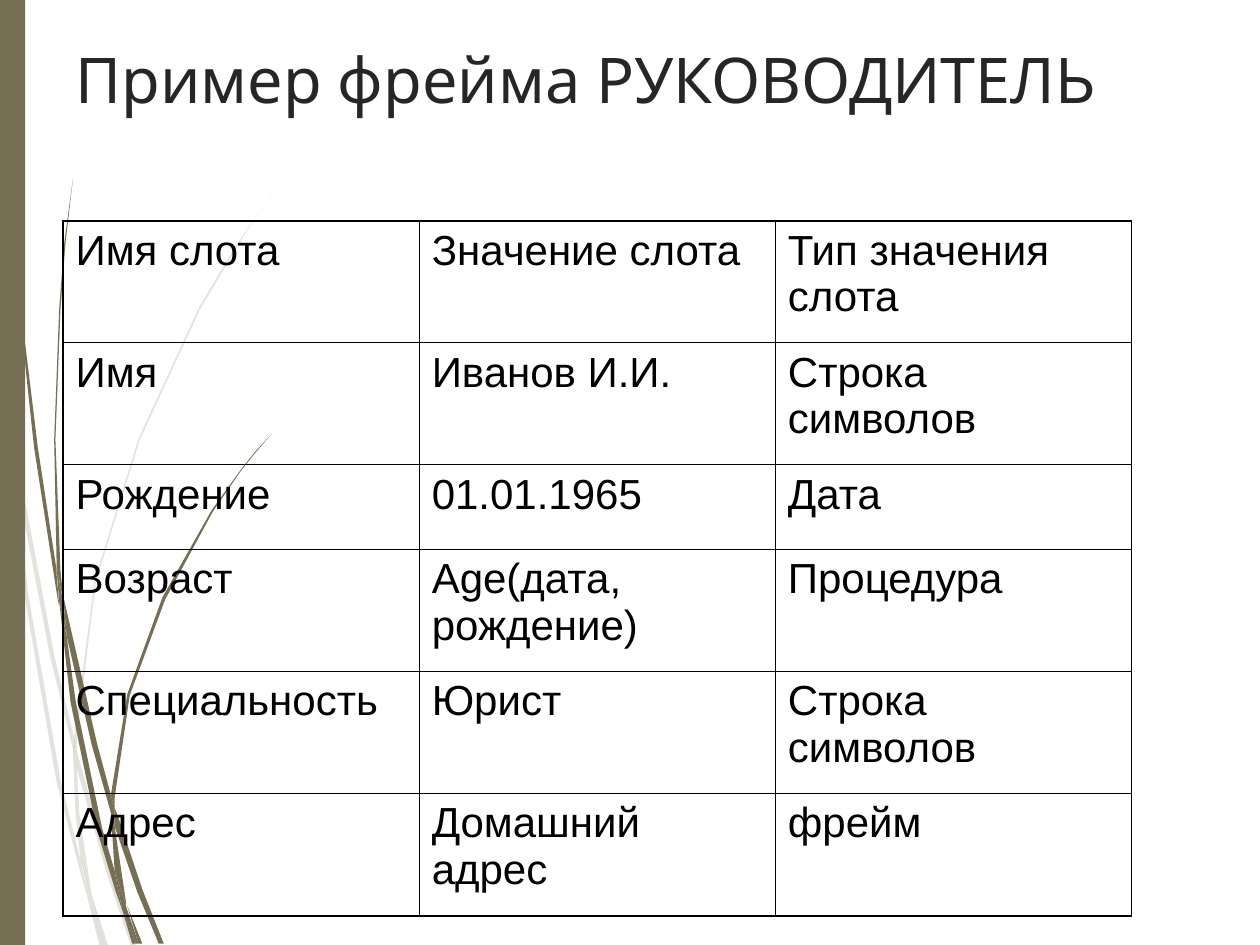
import pptx
import pptx.dml.color
import pptx.enum.shapes
import pptx.enum.text
import pptx.oxml.ns
import pptx.util
from lxml import etree

Cm, Pt = pptx.util.Cm, pptx.util.Pt
RGBColor = pptx.dml.color.RGBColor
qn = pptx.oxml.ns.qn

OLIVE = RGBColor(0x76, 0x6F, 0x54)
CHARCOAL = RGBColor(0x26, 0x26, 0x26)
BLACK = RGBColor(0, 0, 0)

TITLE = "Пример фрейма РУКОВОДИТЕЛЬ"
TITLE_FONT = {"name": "League Spartan", "size": Pt(36), "bold": False}
CELL_FONT = {"name": "Arial", "size": Pt(24), "bold": False}
TITLE_BOX = {"left": Cm(1.27), "top": Cm(0.69), "width": Cm(23.29), "height": Cm(3.99)}
TITLE_FRAME = {
    "word_wrap": True,
    "auto_size": pptx.enum.text.MSO_AUTO_SIZE.NONE,
    "vertical_anchor": pptx.enum.text.MSO_ANCHOR.TOP,
}
ROWS = [
    ("Имя слота", "Значение слота", "Тип значения слота"),
    ("Имя", "Иванов И.И.", "Строка символов"),
    ("Рождение", "01.01.1965", "Дата"),
    ("Возраст", "Age(дата, рождение)", "Процедура"),
    ("Специальность", "Юрист", "Строка символов"),
    ("Адрес", "Домашний адрес", "фрейм"),
]
COL_WIDTH = Cm(7.18)
ROW_HEIGHTS = [Cm(h) for h in (2.46, 2.46, 1.71, 2.46, 2.46, 2.46)]
OUTER, INNER = Pt(1.08), Pt(0.45)

PALE_BLADES = [
    "0.08,3.5 0.06,3.22 0,2.82 0,2.99 0.07,3.44",
    "0.4,5.22 0.59,5.99 0.59,5.86 0.43,5.2 0.1,3.45 0.12,3.76",
    "0.64,6.07 0.61,5.96 0.61,6.1 0.85,6.94 1.04,7.51 1.08,7.51 0.88,6.92",
    "0.83,7.51 0.86,7.51 0.73,7.11",
    "0.64,6.83 0.48,6.19 0.22,4.69 0.12,3.76 0.08,3.5 0.19,4.7 0.45,6.21 0.64,6.93 0.7,7.14 0.69,7.07",
    "0.58,5.99 0.6,6.46 0.64,6.83 0.67,6.92 0.73,7.11 0.72,7.06 0.63,6.46 0.61,6.1 0.61,6.08",
    "0.61,5.84 0.76,4.62 1.11,3.49 1.59,2.45 1.87,1.98 2.01,1.75 2.17,1.53 2.01,1.75 1.86,1.97 "
    "1.58,2.44 1.1,3.48 0.75,4.61 0.59,5.84 0.59,5.86 0.61,5.96",
    "0.7,7.14 0.79,7.51 0.82,7.51",
    "0.61,6.08 0.61,6.1 0.61,5.96 0.59,5.86 0.58,5.99",
    "0.67,6.92 0.65,6.83 0.69,7.07 0.7,7.14 0.82,7.51 0.83,7.51 0.73,7.11",
]
DARK_BLADES = [
    "0.05,1.1 0.14,2.33 0.27,3.55 0.46,4.77 0.47,4.81 0.45,4.57 0.45,4.53 0.3,3.55 0.15,2.32 "
    "0.06,1.09 0.04,0.48 0.03,0 0.02,0 0.03,0.48",
    "0.73,5.92 0.88,6.45 0.88,6.31 0.77,5.9 0.5,4.72 0.53,5.05",
    "0.94,6.49 0.91,6.41 0.91,6.56 1.09,7.08 1.26,7.49 1.3,7.49 1.13,7.06",
    "0.91,6.91 0.81,6.57 0.6,5.56 0.53,5.05 0.47,4.77 0.56,5.57 0.77,6.59 0.92,7.08 0.97,7.22 0.96,7.17",
    "0.5,4.72 0.48,4.53 0.44,3.49 0.48,2.45 0.52,1.93 0.58,1.41 0.51,1.93 0.47,2.45 0.43,3.49 "
    "0.45,4.49 0.49,4.71",
    "1.1,7.49 1.13,7.49 1.01,7.19",
    "0.47,4.77 0.53,5.05 0.5,4.72 0.49,4.72 0.45,4.49 0.45,4.53",
    "0.91,6.33 1.03,5.52 1.31,4.76 1.69,4.06 1.91,3.74 2.03,3.59 2.16,3.44 2.03,3.58 1.91,3.73 "
    "1.68,4.05 1.29,4.74 1.01,5.51 0.88,6.31 0.91,6.41",
    "0.97,7.22 1.05,7.49 1.08,7.49",
    "0.88,6.45 0.91,6.91 0.96,7.06 1,7.19 1,7.16 0.91,6.56 0.9,6.51",
    "0.88,6.45 0.9,6.51 0.91,6.56 0.91,6.41 0.88,6.31",
    "0.96,7.06 0.91,6.91 0.96,7.17 0.97,7.22 1.08,7.49 1.1,7.49 1,7.19",
]


def apply(obj, fmt):
    """Set every attribute named in a format dict."""
    for name, value in fmt.items():
        setattr(obj, name, value)


def paint(sp, color, alpha=100):
    """Give a shape a plain fill without outline or shadow."""
    sp.shadow.inherit = False
    sp.fill.solid()
    sp.fill.fore_color.rgb = color
    sp.line.fill.background()
    if alpha < 100:
        clr = sp._element.spPr.find(".//" + qn("a:srgbClr"))
        etree.SubElement(clr, qn("a:alpha"), val=str(alpha * 1000))


def add_blades(s, outlines, alpha):
    """Add a group of grass blades outlined in inches."""
    group = s.shapes.add_group_shape()
    for outline in outlines:
        start, *rest = [
            tuple(Cm(2.54 * float(v)) for v in pair.split(",")) for pair in outline.split()]
        builder = group.shapes.build_freeform(*start)
        builder.add_line_segments(rest, close=True)
        paint(builder.convert_to_shape(), OLIVE, alpha)


def write(tf, text, fmt, color):
    """Put one left-aligned run of text in a frame."""
    p = tf.paragraphs[0]
    p.alignment = pptx.enum.text.PP_ALIGN.LEFT
    r = p.add_run()
    r.text = text
    apply(r.font, fmt)
    r.font.color.rgb = color


def set_borders(cell, widths):
    """Draw the left, right, top and bottom borders of a cell."""
    tcPr = cell._tc.get_or_add_tcPr()
    for side, width in zip("LRTB", widths):
        ln = etree.SubElement(tcPr, qn("a:ln" + side), w=str(int(width)))
        fill = etree.SubElement(ln, qn("a:solidFill"))
        etree.SubElement(fill, qn("a:srgbClr"), val=str(BLACK))


def add_slot_table(s):
    """Add the table of frame slots."""
    n, m = len(ROWS), len(ROWS[0])
    table = s.shapes.add_table(
        n, m, Cm(1.27), Cm(4.45), COL_WIDTH * m, sum(ROW_HEIGHTS)).table
    apply(table, {"first_row": False, "horz_banding": False})
    for col in table.columns:
        col.width = COL_WIDTH
    for i, texts in enumerate(ROWS):
        table.rows[i].height = ROW_HEIGHTS[i]
        for j, text in enumerate(texts):
            cell = table.cell(i, j)
            edges = (j == 0, j == m - 1, i == 0, i == n - 1)
            set_borders(cell, [OUTER if edge else INNER for edge in edges])
            cell.fill.background()
            write(cell.text_frame, text, CELL_FONT, BLACK)


def main():
    """Build the slide and save it."""
    prs = pptx.Presentation()
    apply(prs, {"slide_width": Cm(25.4), "slide_height": Cm(19.05)})
    s = prs.slides.add_slide(prs.slide_layouts[5])
    add_blades(s, PALE_BLADES, 20)
    add_blades(s, DARK_BLADES, 100)
    rectangle = pptx.enum.shapes.MSO_SHAPE.RECTANGLE
    paint(s.shapes.add_shape(rectangle, 0, 0, Cm(0.51), prs.slide_height), OLIVE)
    title = s.shapes.title
    apply(title, TITLE_BOX)
    apply(title.text_frame, TITLE_FRAME)
    write(title.text_frame, TITLE, TITLE_FONT, CHARCOAL)
    s.shapes._spTree.append(title._element)
    add_slot_table(s)
    prs.save("out.pptx")


if __name__ == "__main__":
    main()
